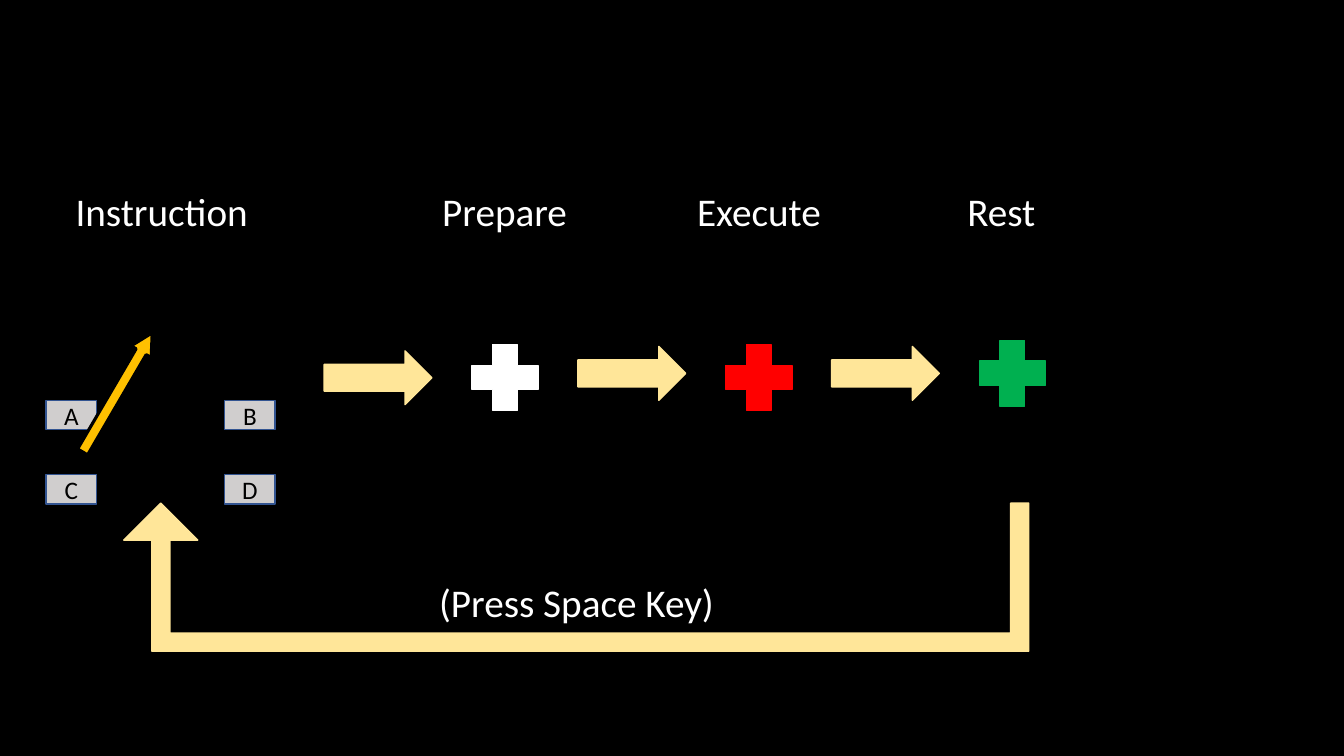
import pptx
import pptx.dml.color
import pptx.enum.shapes
import pptx.enum.text
import pptx.util

Pt = pptx.util.Pt
SHAPES = pptx.enum.shapes.MSO_SHAPE
COLORS = {name: pptx.dml.color.RGBColor.from_string(value) for name, value in {
    "black": "000000", "white": "FFFFFF", "red": "FF0000", "green": "00B050",
    "cream": "FFE699", "amber": "FFC000", "gray": "D0CECE", "blue": "325491",
}.items()}

presentation = pptx.Presentation()
presentation.slide_width = Pt(960)
presentation.slide_height = Pt(540)
slide = presentation.slides.add_slide(presentation.slide_layouts[6])
slide.background.fill.solid()
slide.background.fill.fore_color.rgb = COLORS["black"]


def add_figure(kind, box, fill, line, line_width=1, adjustments=()):
    shape = slide.shapes.add_shape(kind, *map(Pt, box))
    shape.shadow.inherit = False
    shape.fill.solid()
    shape.fill.fore_color.rgb = COLORS[fill]
    shape.line.color.rgb = COLORS[line]
    shape.line.width = Pt(line_width)
    for index, value in enumerate(adjustments):
        shape.adjustments[index] = value
    return shape


def write_centered(shape, text, size, color):
    frame = shape.text_frame
    frame.text = text
    frame.word_wrap = False
    paragraph = frame.paragraphs[0]
    paragraph.alignment = pptx.enum.text.PP_ALIGN.CENTER
    font = paragraph.runs[0].font
    font.name = "Calibri"
    font.size = Pt(size)
    font.color.rgb = COLORS[color]


# Instruction screen: four keys and a pointer
for index, letter in enumerate("ABCD"):
    row, column = divmod(index, 2)
    key = add_figure(SHAPES.RECTANGLE, (33 + 127.5 * column, 286 + 53 * row, 36, 21),
                     "gray", "blue")
    key.text_frame.vertical_anchor = pptx.enum.text.MSO_ANCHOR.MIDDLE
    write_centered(key, letter, 18, "black")

pointer = add_figure(SHAPES.UP_ARROW, (75.6, 231, 16.6, 98.6), "amber", "black", 2.25,
                     (0.5, 0.944))
pointer.rotation = 30.3

# Three phases, each an arrow followed by a cross
for index, (color, arrow_top, cross_top) in enumerate([
        ("white", 250.6, 246.2), ("red", 247.5, 246.2), ("green", 247.5, 243.2)]):
    left = 231.6 + 181.2 * index
    add_figure(SHAPES.RIGHT_ARROW, (left, arrow_top, 77, 38.4), "cream", "cream")
    add_figure(SHAPES.CROSS, (left + 105.6, cross_top, 47.2, 47), color, color,
               adjustments=(0.315,))

# Way back to the next instruction
return_arrow = add_figure(SHAPES.U_TURN_ARROW, (88.4, 359.3, 646.4, 105.8), "cream", "cream",
                          adjustments=(0.122, 0.25, 0.25, 0, 1))
return_arrow.rotation = 180

for text, left, top, width in [
        ("Instruction", 46, 130.3, 139), ("Prepare", 308.2, 130.3, 104.4),
        ("Execute", 490.3, 130.3, 103.7), ("Rest", 683.5, 130.3, 63.4),
        ("(Press Space Key)", 305.3, 409.7, 213)]:
    label = slide.shapes.add_textbox(Pt(left), Pt(top), Pt(width), Pt(41))
    write_centered(label, text, 28, "white")
    label.text_frame.auto_size = pptx.enum.text.MSO_AUTO_SIZE.SHAPE_TO_FIT_TEXT

presentation.save("out.pptx")
